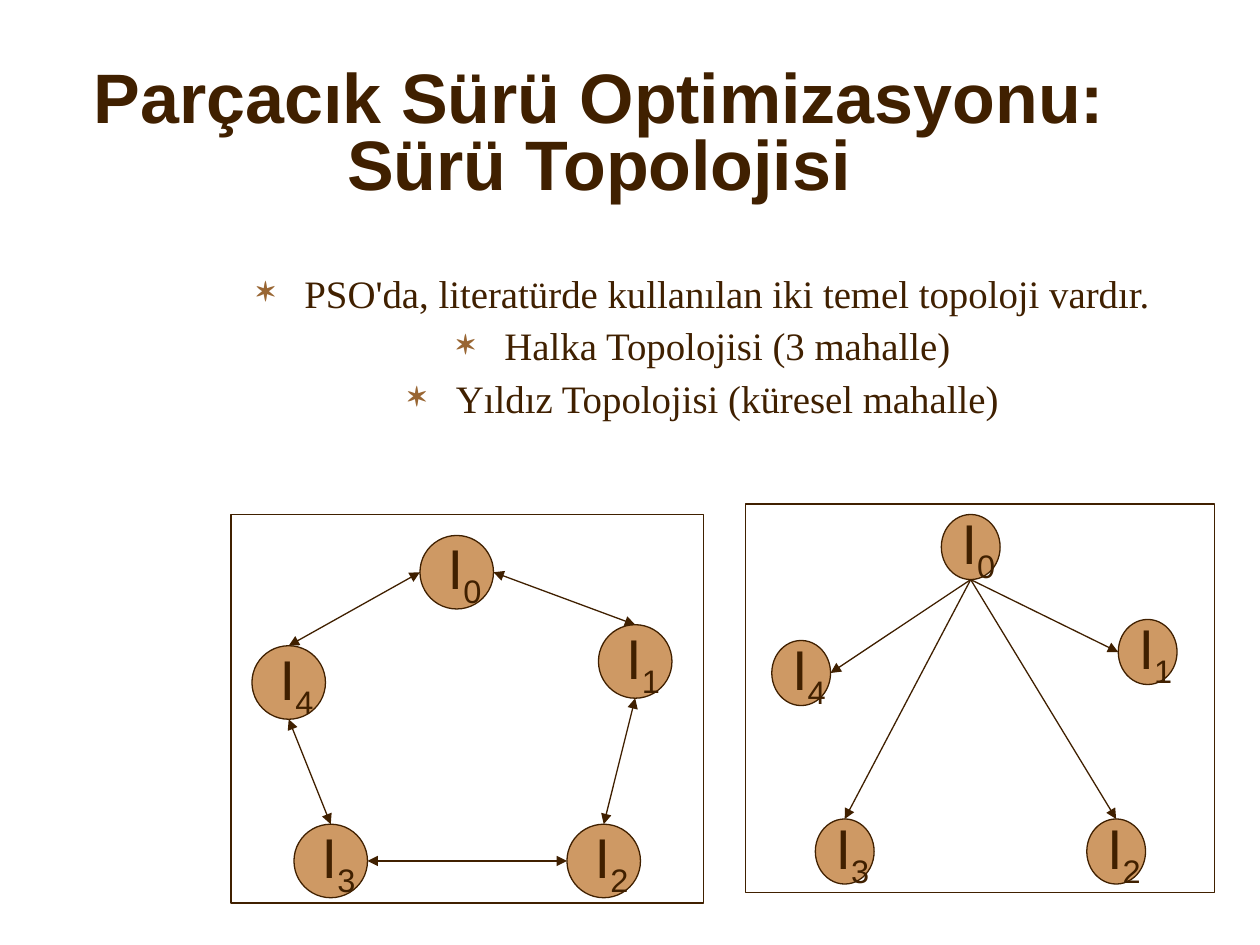
"""Build a slide that compares the ring and star swarm topologies."""
from dataclasses import dataclass

from lxml.etree import SubElement
from pptx import Presentation
from pptx.dml.color import RGBColor
from pptx.enum.shapes import MSO_CONNECTOR, MSO_SHAPE
from pptx.enum.text import MSO_ANCHOR, MSO_AUTO_SIZE, PP_ALIGN
from pptx.oxml.ns import qn
from pptx.util import Inches, Pt


@dataclass(frozen=True)
class Theme:
    ink: str = "402000"
    node: str = "CE9964"
    bullet: str = "996633"
    sans: str = "Arial"
    serif: str = "Times New Roman"
    title: float = 40
    body: float = 22.2
    label: float = 32
    line: float = 0.75


THEME = Theme()
CELL = 1 / 24
TITLE = "Parçacık Sürü Optimizasyonu: Sürü Topolojisi"
POINTS = [
    "PSO'da, literatürde kullanılan iki temel topoloji vardır.",
    "Halka Topolojisi (3 mahalle)",
    "Yıldız Topolojisi (küresel mahalle)",
]
RING = {
    "frame": (44, 98, 90, 74),
    "size": (14, 14),
    "nodes": [(36, 4), (70, 21), (64, 59), (12, 59), (4, 25)],
    "links": [(3, "right", 2, "left"), (0, "left", 4, "top"), (2, "top", 1, "bottom"),
              (1, "top", 0, "right"), (4, "bottom", 3, "top")],
    "ends": ("headEnd", "tailEnd"),
}
STAR = {
    "frame": (142, 96, 89.3, 74),
    "size": (11.2, 12.4),
    "nodes": [(37.3, 2), (71, 22), (65, 60), (13.3, 60), (5, 26)],
    "links": [(0, "bottom", 4, "right"), (0, "bottom", 3, "top"),
              (0, "bottom", 1, "left"), (0, "bottom", 2, "top")],
    "ends": ("tailEnd",),
}
SIDES = {"top": (0.5, 0), "left": (0, 0.5), "bottom": (0.5, 1), "right": (1, 0.5)}


def rgb(color):
    return RGBColor.from_string(color)


def grid(*cells):
    return [Inches(c * CELL) for c in cells]


def write(p, text, *, size, font, bold=False, baseline=None, spacing=None, before=0):
    p.alignment = PP_ALIGN.CENTER
    p.space_before = Pt(before)
    if spacing:
        p.line_spacing = spacing
    r = p.add_run()
    r.text = text
    r.font.size, r.font.name, r.font.bold = Pt(size), font, bold
    r.font.color.rgb = rgb(THEME.ink)
    if baseline:
        r._r.get_or_add_rPr().set("baseline", str(baseline))


def add_bullet(p):
    pPr = p._p.get_or_add_pPr()
    pPr.set("marL", str(Inches(0.38)))
    pPr.set("indent", str(Inches(-0.38)))
    SubElement(SubElement(pPr, qn("a:buClr")), qn("a:srgbClr"), val=THEME.bullet)
    SubElement(pPr, qn("a:buSzPct"), val="95000")
    SubElement(pPr, qn("a:buChar"), char="✶")


def add_title(s):
    sp = s.shapes.title
    sp.left, sp.top, sp.width, sp.height = map(Inches, (0.16, 0.46, 9.19, 1.25))
    tf = sp.text_frame
    tf.margin_left = tf.margin_right = tf.margin_top = tf.margin_bottom = 0
    tf.auto_size = MSO_AUTO_SIZE.NONE
    tf.vertical_anchor = MSO_ANCHOR.MIDDLE
    write(tf.paragraphs[0], TITLE, size=THEME.title, font=THEME.sans, bold=True, spacing=0.8)


def add_points(s):
    tf = s.shapes.add_textbox(*map(Inches, (1.67, 2.13, 7.83, 1.67))).text_frame
    tf.word_wrap = True
    for i, text in enumerate(POINTS):
        p = tf.add_paragraph() if i else tf.paragraphs[0]
        add_bullet(p)
        write(p, text, size=THEME.body, font=THEME.serif, spacing=0.9, before=6 if i else 0)


def add_outlined(s, kind, box, fill=None):
    sp = s.shapes.add_shape(kind, *grid(*box))
    sp.shadow.inherit = False
    if fill:
        sp.fill.solid()
        sp.fill.fore_color.rgb = rgb(fill)
    else:
        sp.fill.background()
    sp.line.color.rgb, sp.line.width = rgb(THEME.ink), Pt(THEME.line)
    return sp


def add_node(s, box, index):
    tf = add_outlined(s, MSO_SHAPE.OVAL, box, THEME.node).text_frame
    tf.word_wrap = False
    tf.vertical_anchor = MSO_ANCHOR.MIDDLE
    p = tf.paragraphs[0]
    write(p, " I", size=THEME.label, font=THEME.sans)
    write(p, str(index), size=THEME.label, font=THEME.sans, baseline=-25000)


def add_link(s, start, end, arrowheads):
    cx = s.shapes.add_connector(MSO_CONNECTOR.STRAIGHT, *grid(*start, *end))
    cx.line.color.rgb, cx.line.width = rgb(THEME.ink), Pt(THEME.line)
    for tag in arrowheads:
        SubElement(cx.line._get_or_add_ln(), qn(f"a:{tag}"), type="triangle")
    SubElement(cx._element.spPr, qn("a:effectLst"))


def add_topology(s, topology):
    left, top, _, _ = topology["frame"]
    w, h = topology["size"]
    origins = [(left + x, top + y) for x, y in topology["nodes"]]

    def port(node, side):
        (x, y), (fx, fy) = origins[node], SIDES[side]
        return x + fx * w, y + fy * h

    add_outlined(s, MSO_SHAPE.RECTANGLE, topology["frame"])
    for i, origin in enumerate(origins):
        add_node(s, (*origin, w, h), i)
    for a, a_side, b, b_side in topology["links"]:
        add_link(s, port(a, a_side), port(b, b_side), topology["ends"])


def main():
    prs = Presentation()
    prs.slide_width, prs.slide_height = Inches(10), Inches(7.5)
    s = prs.slides.add_slide(prs.slide_layouts[5])
    add_title(s)
    add_points(s)
    for topology in (RING, STAR):
        add_topology(s, topology)
    prs.save("out.pptx")


if __name__ == "__main__":
    main()
